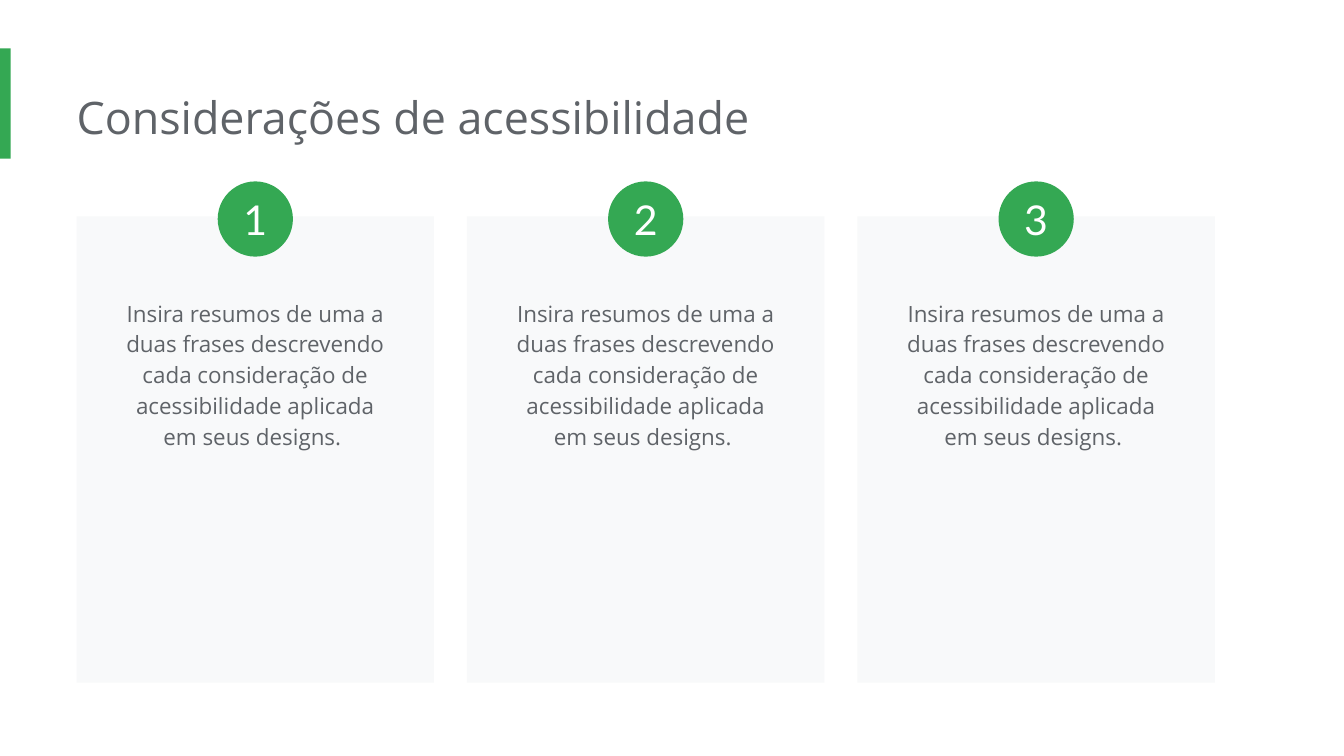
from dataclasses import dataclass

from pptx import Presentation
from pptx import util as u
from pptx.dml.color import RGBColor
from pptx.enum import shapes, text

GREEN = RGBColor(0x34, 0xA8, 0x53)
GREY = RGBColor(0x5F, 0x63, 0x68)
PALE = RGBColor(0xF8, 0xF9, 0xFA)
WHITE = RGBColor(0xFF, 0xFF, 0xFF)

SLIDE_W = 10
SLIDE_H = SLIDE_W * 9 / 16
LEFT, RIGHT = 0.57, 9.04
CARD_TOP, CARD_W, CARD_H = 1.61, 2.66, 3.47
TEXT_TOP, TEXT_W, TEXT_H = 2.1, 2.24, 1.36
BADGE_TOP, BADGE = 1.35, 0.56

SUMMARY = ("Insira resumos de uma a duas frases descrevendo cada consideração "
           "de acessibilidade aplicada em seus designs. ")
SUMMARIES = [SUMMARY] * 3
PITCH = (RIGHT - LEFT - CARD_W) / (len(SUMMARIES) - 1)


@dataclass(frozen=True)
class Box:
    left: float
    top: float
    width: float
    height: float

    def emu(self) -> list[int]:
        return [u.Inches(v) for v in (self.left, self.top, self.width, self.height)]


@dataclass(frozen=True)
class TextStyle:
    font: str
    size: float
    color: RGBColor
    align: text.PP_ALIGN = text.PP_ALIGN.LEFT
    spacing: float = 1.0
    anchor: text.MSO_ANCHOR = text.MSO_ANCHOR.TOP
    inset: float = 0.1
    left_inset: float = 0.1


TITLE = TextStyle("Open Sans", 24, GREY, left_inset=0)
BODY = TextStyle("Open Sans", 12, GREY, text.PP_ALIGN.CENTER, 1.15)
NUMBER = TextStyle("Lato", 22, WHITE, text.PP_ALIGN.CENTER,
                   anchor=text.MSO_ANCHOR.MIDDLE, inset=0, left_inset=0)


def centred(column: int, top: float, width: float, height: float) -> Box:
    """Box centred across the card in the given column."""
    middle = LEFT + column * PITCH + CARD_W / 2
    return Box(middle - width / 2, top, width, height)


def write(sp, words: str, style: TextStyle) -> None:
    tf = sp.text_frame
    inset = u.Inches(style.inset)
    frame_format = {
        "word_wrap": True, "vertical_anchor": style.anchor,
        "margin_left": u.Inches(style.left_inset), "margin_right": inset,
        "margin_top": inset, "margin_bottom": inset,
    }
    for name, value in frame_format.items():
        setattr(tf, name, value)
    p = tf.paragraphs[0]
    p.alignment = style.align
    p.line_spacing = style.spacing
    r = p.add_run()
    r.text = words
    for name, value in {"name": style.font, "size": u.Pt(style.size)}.items():
        setattr(r.font, name, value)
    r.font.color.rgb = style.color


def add_block(s, kind: shapes.MSO_SHAPE, box: Box, color: RGBColor):
    """Add a plain filled shape without line or shadow."""
    sp = s.shapes.add_shape(kind, *box.emu())
    sp.shadow.inherit = False
    sp.fill.solid()
    sp.fill.fore_color.rgb = color
    sp.line.fill.background()
    return sp


def add_text(s, box: Box, words: str, style: TextStyle) -> None:
    write(s.shapes.add_textbox(*box.emu()), words, style)


def main() -> None:
    prs = Presentation()
    prs.slide_width, prs.slide_height = u.Inches(SLIDE_W), u.Inches(SLIDE_H)
    s = prs.slides.add_slide(prs.slide_layouts[6])

    add_block(s, shapes.MSO_SHAPE.RECTANGLE, Box(0, 0.36, 0.08, 0.82), GREEN)
    add_text(s, Box(LEFT, 0.57, 7.66, 0.61), "Considerações de acessibilidade", TITLE)

    for column, summary in enumerate(SUMMARIES):
        card = centred(column, CARD_TOP, CARD_W, CARD_H)
        add_block(s, shapes.MSO_SHAPE.RECTANGLE, card, PALE)
        add_text(s, centred(column, TEXT_TOP, TEXT_W, TEXT_H), summary, BODY)
        badge = centred(column, BADGE_TOP, BADGE, BADGE)
        sp = add_block(s, shapes.MSO_SHAPE.OVAL, badge, GREEN)
        write(sp, str(column + 1), NUMBER)

    prs.save("out.pptx")


if __name__ == "__main__":
    main()
